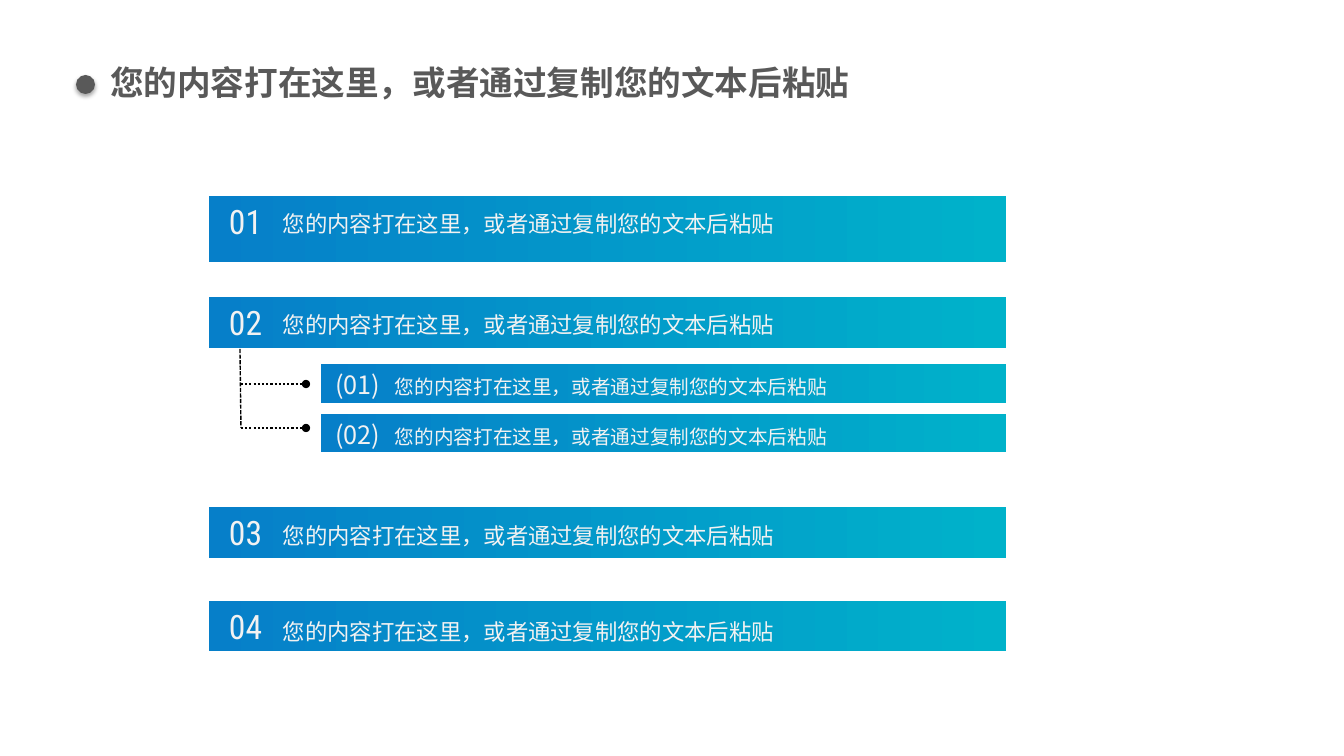
from lxml import etree
from pptx import Presentation
from pptx import util as u
from pptx.dml.color import RGBColor
from pptx.enum import dml, shapes, text
from pptx.oxml.ns import qn

PX = 914400 / 100.8
SANS, CONDENSED = "Noto Sans CJK SC", "Roboto Condensed"
SENTENCE = "您的内容打在这里，或者通过复制您的文本后粘贴"
rgb = RGBColor.from_string


def px(*lengths):
    return [u.Emu(round(n * PX)) for n in lengths]


def write(box, wording, size, family, color, align):
    frame = box.text_frame
    frame.word_wrap = True
    frame.vertical_anchor = text.MSO_ANCHOR.TOP
    paragraph = frame.paragraphs[0]
    paragraph.text = wording
    paragraph.alignment = align
    font = paragraph.font
    font.size, font.name, font.color.rgb = u.Pt(size), family, rgb(color)
    for props in paragraph._p.iter(qn("a:defRPr")):
        etree.SubElement(props, qn("a:ea"), typeface=family)
    return paragraph


deck = Presentation()
deck.slide_width, deck.slide_height = px(1344, 756)
slide = deck.slides.add_slide(deck.slide_layouts[5])

heading = slide.shapes.title
heading.left, heading.top, heading.width, heading.height = px(100, 57, 898, 50)
title_line = write(heading, SENTENCE, 24, SANS, "595959", text.PP_ALIGN.LEFT)
title_line.font.bold = True

main = (209, 797, 24, CONDENSED, 16, 50)
sub = (321, 685, 18, SANS, 14, 40)
agenda = [
    ("01", main, 196, 66, 8),
    ("02", main, 297, 51, 8),
    ("03", main, 507, 51, 9),
    ("04", main, 601, 50, 11),
    ("(01)", sub, 364, 39, 2),
    ("(02)", sub, 414, 38, 2),
]
for number, level, top, height, drop in agenda:
    left, width, number_size, number_font, item_size, number_height = level
    entry = slide.shapes.add_group_shape().shapes

    bar = entry.add_shape(shapes.MSO_SHAPE.RECTANGLE, *px(left, top, width, height))
    bar.shadow.inherit = False
    bar.line.fill.background()
    bar.fill.gradient()
    bar.fill.gradient_angle = 0
    for stop, color in zip(bar.fill.gradient_stops, ("067FC9", "00B2CA")):
        stop.color.rgb = rgb(color)

    label = entry.add_textbox(*px(left - 9, top, 91, number_height))
    write(label, number, number_size, number_font, "F2F2F2", text.PP_ALIGN.CENTER)

    item = entry.add_textbox(*px(left + 64, top + drop, width - 64, 36))
    item_line = write(item, SENTENCE, item_size, SANS, "F2F2F2", text.PP_ALIGN.LEFT)
    item_line.line_spacing = u.Pt(19.8)

branches = [
    (241, 384, 306, 384, 1.5, dml.MSO_LINE.ROUND_DOT, True),
    (241, 428, 306, 428, 1.5, dml.MSO_LINE.ROUND_DOT, True),
    (240, 349, 241, 428, 1, dml.MSO_LINE.SQUARE_DOT, False),
]
tree = slide.shapes.add_group_shape().shapes
for x1, y1, x2, y2, weight, dash, dotted_end in branches:
    branch = tree.add_connector(shapes.MSO_CONNECTOR.STRAIGHT, *px(x1, y1, x2, y2))
    branch.line.color.rgb = rgb("000000")
    branch.line.width = u.Pt(weight)
    branch.line.dash_style = dash
    if dotted_end:
        etree.SubElement(branch.line._get_or_add_ln(), qn("a:tailEnd"), type="oval")
    etree.SubElement(branch._element.spPr, qn("a:effectLst"))

bullet = slide.shapes.add_shape(shapes.MSO_SHAPE.OVAL, *px(76, 75, 19, 19))
bullet.fill.solid()
bullet.fill.fore_color.rgb = rgb("595959")
bullet.line.fill.background()
bullet.shadow.inherit = False
effects = bullet._element.spPr.find(qn("a:effectLst"))
shade = etree.SubElement(effects, qn("a:outerShdw"), blurRad=str(u.Pt(3.1)),
                         dist=str(u.Pt(1.8)), dir="5400000", rotWithShape="0")
shade_color = etree.SubElement(shade, qn("a:srgbClr"), val="000000")
etree.SubElement(shade_color, qn("a:alpha"), val="35000")

deck.save("out.pptx")
